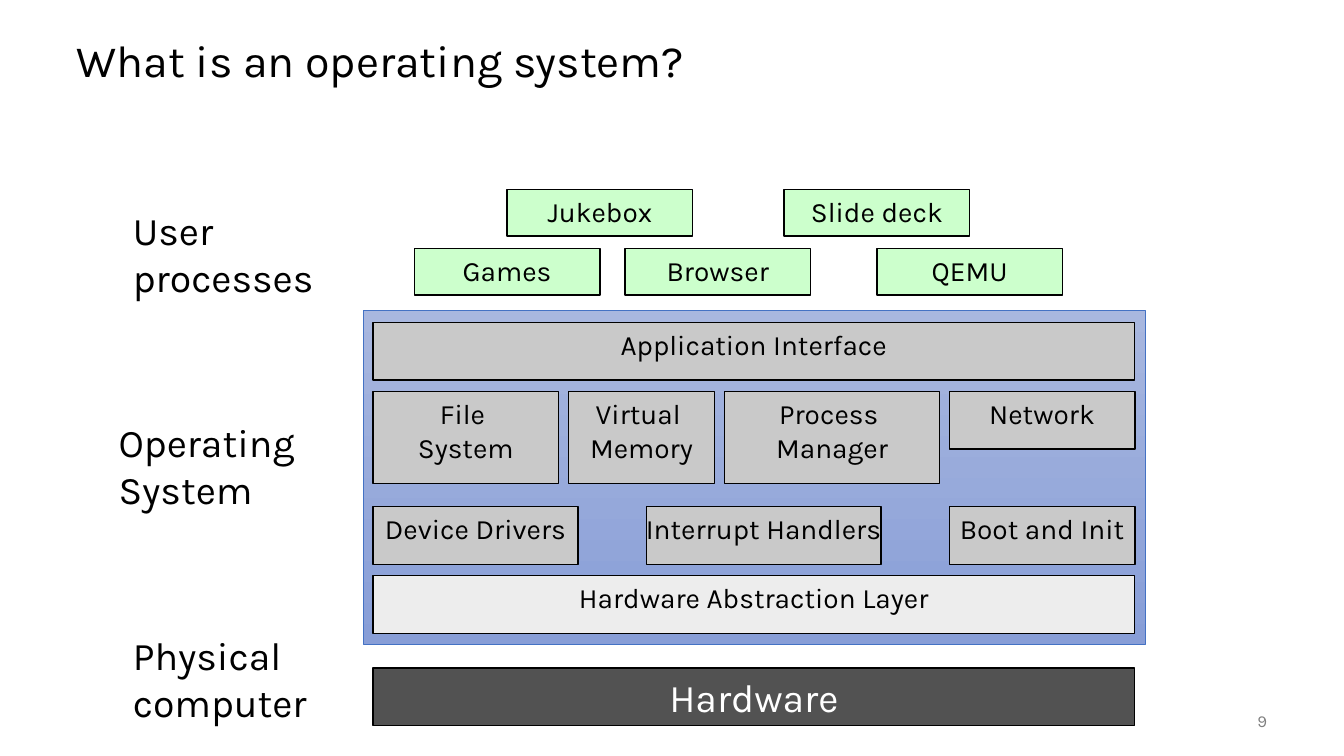
from pptx import Presentation
from pptx.dml.color import RGBColor
from pptx.enum.shapes import MSO_SHAPE
from pptx.enum.text import MSO_ANCHOR, PP_ALIGN
from pptx.util import Cm, Pt

BLACK = RGBColor(0x00, 0x00, 0x00)
WHITE = RGBColor(0xFF, 0xFF, 0xFF)
GREEN = RGBColor(0xCC, 0xFF, 0xCC)
GREY = RGBColor(0xC9, 0xC9, 0xC9)
PALE_GREY = RGBColor(0xED, 0xED, 0xED)
DARK_GREY = RGBColor(0x52, 0x52, 0x52)
NUMBER_GREY = RGBColor(0x80, 0x80, 0x80)
BLUE = RGBColor(0x44, 0x72, 0xC4)
BLUE_TOP = RGBColor(0xA8, 0xB7, 0xDF)
BLUE_BOTTOM = RGBColor(0x88, 0x9E, 0xD7)

# Grid of the operating system diagram, in cm
LEFT, TOP = 9.4, 8.13
COLUMNS = 78
COLUMN = 19.2 / COLUMNS
ROW = 0.29


class Page:
    font = "Karla"

    def __init__(self, deck):
        self.shapes = deck.slides.add_slide(deck.slide_layouts[6]).shapes

    def set_text(self, box, text, size, color, align):
        para = box.text_frame.paragraphs[0]
        para.text = text
        para.alignment = align
        para.font.name = self.font
        para.font.size = Pt(size)
        para.font.color.rgb = color
        return para

    def label(self, text, left, top, width, height, size=28, color=BLACK,
              align=PP_ALIGN.LEFT, anchor=MSO_ANCHOR.TOP):
        box = self.shapes.add_textbox(Cm(left), Cm(top), Cm(width), Cm(height))
        box.text_frame.word_wrap = True
        box.text_frame.vertical_anchor = anchor
        return self.set_text(box, text, size, color, align)

    def rectangle(self, left, top, width, height, line, weight):
        box = self.shapes.add_shape(
            MSO_SHAPE.RECTANGLE, Cm(left), Cm(top), Cm(width), Cm(height))
        box.shadow.inherit = False
        box.line.color.rgb = line
        box.line.width = Pt(weight)
        return box

    def panel(self, left, top, width, height):
        """Add the blue backdrop, shaded from top to bottom."""
        fill = self.rectangle(left, top, width, height, BLUE, 0.5).fill
        fill.gradient()
        fill.gradient_angle = 270
        for stop, color, position in zip(
                fill.gradient_stops, (BLUE_TOP, BLUE_BOTTOM), (0, 1)):
            stop.color.rgb = color
            stop.position = position

    def block(self, text, left, top, width, height, fill, size=20, color=BLACK):
        box = self.rectangle(left, top, width, height, BLACK, 1)
        box.fill.solid()
        box.fill.fore_color.rgb = fill
        box.text_frame.word_wrap = False
        box.text_frame.vertical_anchor = MSO_ANCHOR.TOP
        self.set_text(box, text, size, color, PP_ALIGN.CENTER)

    def grid_block(self, text, column, row, columns, rows=5, fill=GREY, **style):
        """Add a block placed in units of the diagram grid."""
        self.block(text, LEFT + column * COLUMN, TOP + row * ROW,
                   columns * COLUMN, rows * ROW, fill, **style)


def main():
    deck = Presentation()
    deck.slide_width, deck.slide_height = Cm(33.87), Cm(19.05)
    page = Page(deck)

    title = page.label("What is an operating system?", 1.68, 0.64, 30.48, 1.9,
                       size=32, anchor=MSO_ANCHOR.MIDDLE)
    title.line_spacing = 0.9

    for text, left, top, width in (
            ("User processes", 3.1, 5.08, 5.5),
            ("Operating System", 2.74, 10.41, 5.92),
            ("Physical computer", 3.1, 15.78, 5.5)):
        page.label(text, left, top, width, 2.64)

    for text, left, top in (
            ("Jukebox", 12.78, 4.78), ("Slide deck", 19.76, 4.78),
            ("Games", 10.44, 6.27), ("Browser", 15.75, 6.27),
            ("QEMU", 22.1, 6.27)):
        page.block(text, left, top, 4.68, 1.17, GREEN)

    page.panel(9.16, 7.83, 19.7, 8.41)
    page.grid_block("Application Interface", 0, 0, COLUMNS)
    for text, column, columns, rows in (
            ("File \vSystem", 0, 19, 8), ("Virtual \vMemory", 20, 15, 8),
            ("Process \vManager", 36, 22, 8), ("Network", 59, 19, 5)):
        page.grid_block(text, column, 6, columns, rows)
    for text, column, columns in (
            ("Device Drivers", 0, 21), ("Interrupt Handlers", 28, 24),
            ("Boot and Init", 59, 19)):
        page.grid_block(text, column, 16, columns)
    page.grid_block("Hardware Abstraction Layer", 0, 22, COLUMNS, fill=PALE_GREY)
    page.grid_block("Hardware", 0, 30, COLUMNS, fill=DARK_GREY, size=28, color=WHITE)

    page.label("9", 29.64, 17.65, 2.54, 1.02, size=12, color=NUMBER_GREY,
               align=PP_ALIGN.RIGHT, anchor=MSO_ANCHOR.MIDDLE)
    deck.save("out.pptx")


if __name__ == "__main__":
    main()
